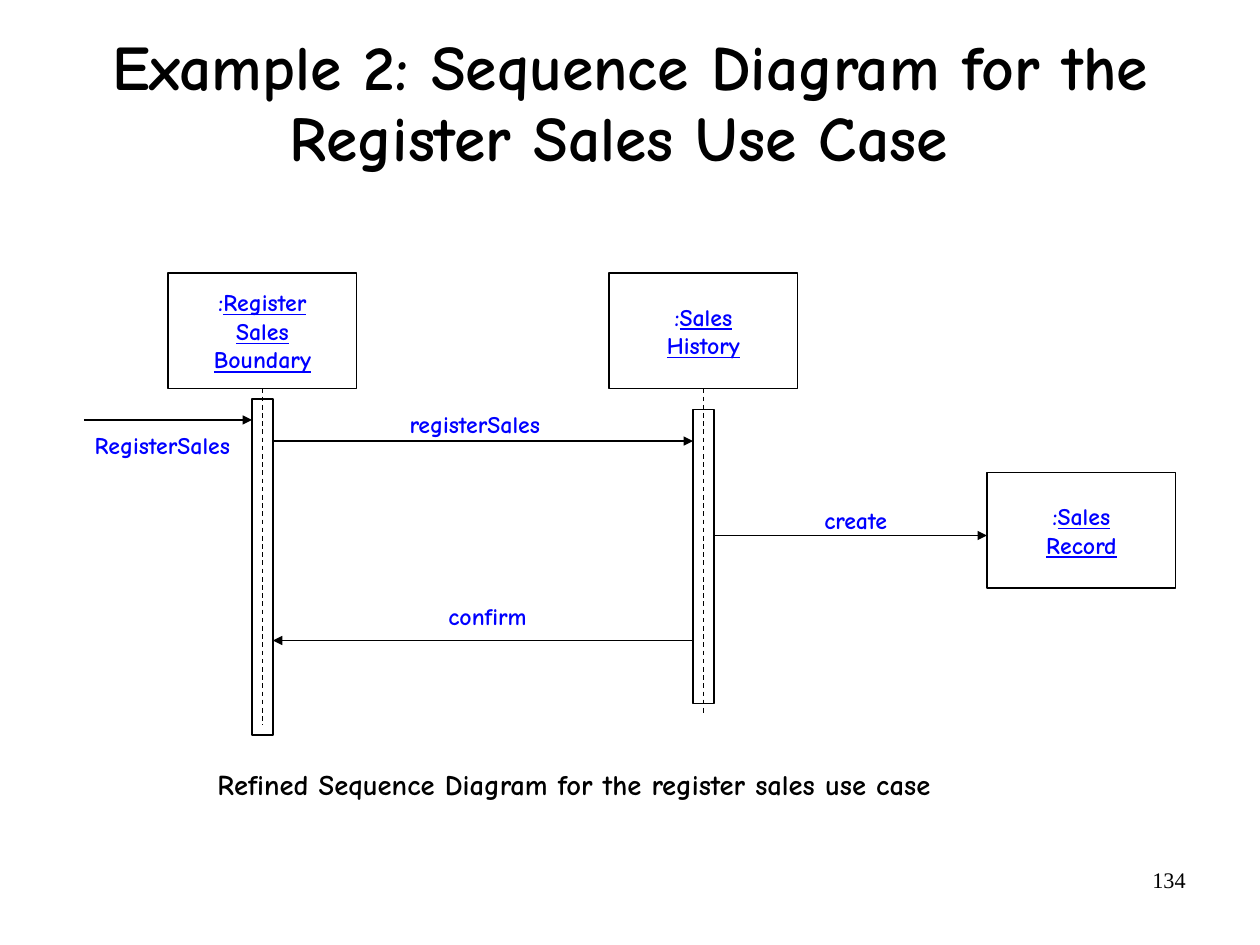
from typing import NamedTuple

from lxml.etree import SubElement
from pptx import Presentation
from pptx.dml.color import RGBColor
from pptx.enum.dml import MSO_LINE
from pptx.enum.shapes import MSO_CONNECTOR, MSO_SHAPE
from pptx.enum.text import MSO_ANCHOR, PP_ALIGN
from pptx.oxml.ns import qn
from pptx.util import Cm, Inches, Pt

WIDTH, HEIGHT = Cm(28), Cm(21)
COLUMNS, ROWS = 120, 90
COLORS = {"ink": "000000", "label": "0000FF"}
COMIC, TIMES = "Comic Neue", "Times New Roman"
BOX_W, BOX_H = 18, 11
BAR_W = 2


class Participant(NamedTuple):
    col: float
    row: float
    lines: tuple[str, ...]


class Activation(NamedTuple):
    col: float
    row: float
    rows: float
    lifeline_end: float


class Message(NamedTuple):
    start: float
    end: float
    row: float
    text: str
    text_col: float
    text_row: float
    text_cols: float


PARTICIPANTS = (
    Participant(16, 26, ("Register", "Sales", "Boundary")),
    Participant(58, 26, ("Sales", "History")),
    Participant(94, 45, ("Sales", "Record")),
)
ACTIVATIONS = (Activation(24, 38, 32, 69), Activation(66, 39, 28, 68))
MESSAGES = (
    Message(8, 24, 40, "RegisterSales", 9, 41, 13),
    Message(26, 66, 42, "registerSales", 39, 39, 12.5),
    Message(68, 94, 51, "create", 78.5, 48.2, 6.1),
    Message(66, 26, 61, "confirm", 42.7, 57.3, 7.5),
)


def x(cols: float) -> int:
    return round(WIDTH * cols / COLUMNS)


def y(rows: float) -> int:
    return round(HEIGHT * rows / ROWS)


def add_run(p, text: str, size: float, color: str = "ink", font: str = COMIC,
            underline: bool = False) -> None:
    r = p.add_run()
    r.text = text
    r.font.name = font
    r.font.size = Pt(size)
    r.font.bold = font == COMIC
    r.font.underline = underline
    r.font.color.rgb = RGBColor.from_string(COLORS[color])


def add_text(s, col: float, row: float, cols: float, rows: float, text: str,
             size: float, color: str = "ink", font: str = COMIC,
             align: PP_ALIGN = PP_ALIGN.LEFT, wrap: bool = False,
             margins: tuple[float, float] = (0, 0)):
    tf = s.shapes.add_textbox(x(col), y(row), x(cols), y(rows)).text_frame
    tf.word_wrap = wrap
    tf.margin_left = tf.margin_right = Inches(margins[0])
    tf.margin_top = tf.margin_bottom = Inches(margins[1])
    p = tf.paragraphs[0]
    p.alignment = align
    add_run(p, text, size, color, font)
    return tf


def add_rect(s, col: float, row: float, cols: float, rows: float):
    sp = s.shapes.add_shape(MSO_SHAPE.RECTANGLE, x(col), y(row), x(cols), y(rows))
    sp.shadow.inherit = False
    sp.fill.background()
    sp.line.color.rgb = RGBColor.from_string(COLORS["ink"])
    sp.line.width = Pt(0.75)
    return sp


def add_line(s, start: tuple[float, float], end: tuple[float, float],
             arrow: bool = False) -> None:
    """Draw a solid arrow, or a dashed line without a head."""
    line = s.shapes.add_connector(MSO_CONNECTOR.STRAIGHT, x(start[0]), y(start[1]),
                                  x(end[0]), y(end[1]))
    line.line.color.rgb = RGBColor.from_string(COLORS["ink"])
    line.line.width = Pt(0.75)
    if arrow:
        ln = line._element.spPr.find(qn("a:ln"))
        SubElement(ln, qn("a:tailEnd"), type="triangle")
    else:
        line.line.dash_style = MSO_LINE.DASH
    SubElement(line._element.spPr, qn("a:effectLst"))


def add_participant(s, item: Participant) -> None:
    tf = add_rect(s, item.col, item.row, BOX_W, BOX_H).text_frame
    tf.word_wrap = False
    tf.vertical_anchor = MSO_ANCHOR.MIDDLE
    for i, text in enumerate(item.lines):
        p = tf.add_paragraph() if i else tf.paragraphs[0]
        p.alignment = PP_ALIGN.CENTER
        if i == 0:
            add_run(p, ":", 15, "label")
        add_run(p, text, 15, "label", underline=True)


def add_activation(s, item: Activation) -> None:
    add_rect(s, item.col, item.row, BAR_W, item.rows)
    middle = item.col + BAR_W / 2
    add_line(s, (middle, PARTICIPANTS[0].row + BOX_H), (middle, item.lifeline_end))


def add_message(s, item: Message) -> None:
    add_line(s, (item.start, item.row), (item.end, item.row), arrow=True)
    add_text(s, item.text_col, item.text_row, item.text_cols, 2.7, item.text, 15, "label")


def main() -> None:
    prs = Presentation()
    prs.slide_width, prs.slide_height = WIDTH, HEIGHT
    s = prs.slides.add_slide(prs.slide_layouts[6])

    title = add_text(s, 3, 2.2, 114, 15.5,
                     "Example 2: Sequence Diagram for the Register Sales Use Case ",
                     40, align=PP_ALIGN.CENTER, wrap=True, margins=(0.02, 0.06))
    title.vertical_anchor = MSO_ANCHOR.MIDDLE
    title.paragraphs[0].line_spacing = 0.94

    for participant in PARTICIPANTS:
        add_participant(s, participant)
    for activation in ACTIVATIONS:
        add_activation(s, activation)
    for message in MESSAGES:
        add_message(s, message)

    add_text(s, 20.7, 73, 68.3, 3.3,
             "Refined Sequence Diagram for the register sales use case", 18)
    add_text(s, 86, 82, 28, 6.2, "134", 14, font=TIMES, align=PP_ALIGN.RIGHT,
             wrap=True, margins=(0.1, 0.05))
    prs.save("out.pptx")


if __name__ == "__main__":
    main()
